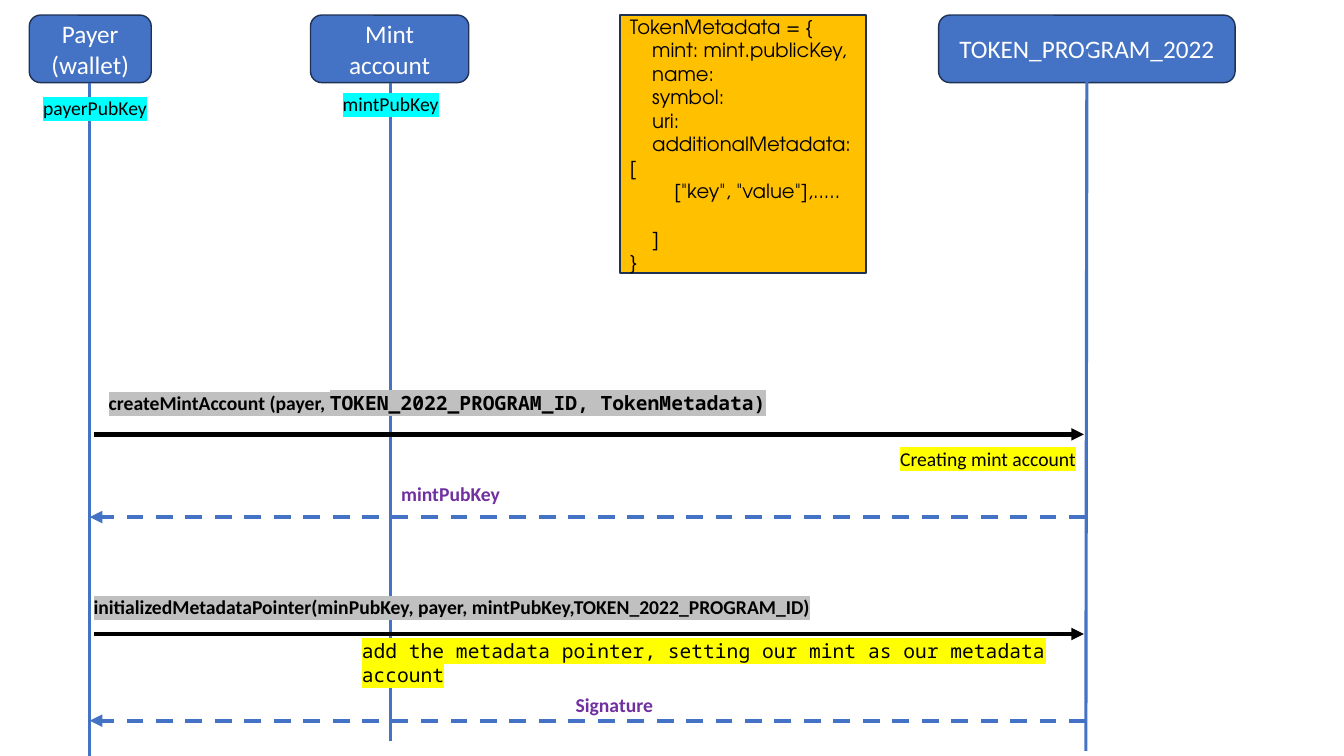
import pptx
import pptx.util
import pptx.dml.color
import pptx.enum.dml
import pptx.enum.shapes
import pptx.enum.text
import pptx.oxml
import lxml.etree

Inches = pptx.util.Inches
Pt = pptx.util.Pt
RGBColor = pptx.dml.color.RGBColor
MSO_SHAPE = pptx.enum.shapes.MSO_SHAPE
PP_ALIGN = pptx.enum.text.PP_ALIGN

BLUE = RGBColor(0x44, 0x72, 0xC4)
NAVY = RGBColor(0x1E, 0x32, 0x56)
AMBER = RGBColor(0xFF, 0xC0, 0x00)
PURPLE = RGBColor(0x70, 0x30, 0xA0)
WHITE = RGBColor(0xFF, 0xFF, 0xFF)
BLACK = RGBColor(0x00, 0x00, 0x00)
CYAN = RGBColor(0x00, 0xFF, 0xFF)
SILVER = RGBColor(0xC0, 0xC0, 0xC0)
YELLOW = RGBColor(0xFF, 0xFF, 0x00)

BODY_FONT = "Calibri"
MONO_FONT = "Noto Sans Mono"
CODE_FONT = "TeX Gyre Adventor"

METADATA_LINES = [
    (0, "TokenMetadata = {"),
    (1, "mint: mint.publicKey,"),
    (1, "name:"),
    (1, "symbol:"),
    (1, "uri:"),
    (1, "additionalMetadata: ["),
    (2, "[\"key\", \"value\"],....."),
    (1, "]"),
    (0, "}"),
]


def append_element(parent, tag, **attributes):
    element = lxml.etree.SubElement(parent, pptx.oxml.ns.qn(tag))
    for name, value in attributes.items():
        element.set(name, value)
    return element


def style_font(font, name, size, color, bold=False):
    font.name = name
    font.size = Pt(size)
    font.color.rgb = color
    font.bold = bold


def highlight_run(run, color):
    properties = run._r.get_or_add_rPr()
    highlight = pptx.oxml.parse_xml(
        f'<a:highlight {pptx.oxml.ns.nsdecls("a")}><a:srgbClr val="{color}"/></a:highlight>'
    )
    properties.insert(0, highlight)


def add_box(slide, box, preset, fill):
    shape = slide.shapes.add_shape(preset, *map(Inches, box))
    shape.shadow.inherit = False
    shape.fill.solid()
    shape.fill.fore_color.rgb = fill
    shape.line.color.rgb = NAVY
    shape.line.width = Pt(1)
    shape.text_frame.vertical_anchor = pptx.enum.text.MSO_ANCHOR.MIDDLE
    return shape


def add_participant(slide, box, name):
    shape = add_box(slide, box, MSO_SHAPE.ROUNDED_RECTANGLE, BLUE)
    shape.text_frame.text = name
    for paragraph in shape.text_frame.paragraphs:
        paragraph.alignment = PP_ALIGN.CENTER
        style_font(paragraph.font, BODY_FONT, 18, WHITE)


def add_metadata_note(slide, box):
    shape = add_box(slide, box, MSO_SHAPE.FLOWCHART_PROCESS, AMBER)
    frame = shape.text_frame
    frame.text = "\n".join(text for level, text in METADATA_LINES)
    for paragraph, (level, text) in zip(frame.paragraphs, METADATA_LINES):
        paragraph.alignment = PP_ALIGN.LEFT
        style_font(paragraph.font, CODE_FONT, 14, BLACK)
        properties = paragraph._p.get_or_add_pPr()
        properties.set("marL", "0")
        properties.set("indent", str(Inches(0.22 * level)))
        if text == "]":
            paragraph.space_before = Pt(17)


def add_line(slide, start, end, color, width):
    connector = slide.shapes.add_connector(
        pptx.enum.shapes.MSO_CONNECTOR.STRAIGHT, *map(Inches, start + end)
    )
    connector.line.color.rgb = color
    connector.line.width = Pt(width)
    append_element(connector._element.spPr, "a:effectLst")
    return connector


def add_message(slide, start, end, reply=False):
    connector = add_line(slide, start, end, BLUE if reply else BLACK, 3)
    if reply:
        connector.line.dash_style = pptx.enum.dml.MSO_LINE.DASH
    append_element(connector.line._get_or_add_ln(), "a:tailEnd", type="triangle")


def add_label(slide, box, parts, color=BLACK, bold=False, highlight=None, wrap=False):
    frame = slide.shapes.add_textbox(*map(Inches, box)).text_frame
    frame.word_wrap = wrap
    frame.auto_size = pptx.enum.text.MSO_AUTO_SIZE.SHAPE_TO_FIT_TEXT
    paragraph = frame.paragraphs[0]
    style_font(paragraph.font, parts[0][1], 14, color, bold)
    for text, font_name in parts:
        run = paragraph.add_run()
        run.text = text
        if font_name != parts[0][1]:
            run.font.name = font_name
        if highlight is not None:
            highlight_run(run, highlight)


def add_participants(slide, top, height):
    for left, width, name in [
        (0.29, 1.21, "Payer\n(wallet)"),
        (3.08, 1.57, "Mint account"),
        (9.31, 2.94, "TOKEN_PROGRAM_2022"),
    ]:
        add_participant(slide, (left, top, width, height), name)
    for start, end in [
        ((0.89, top + height), (0.89, 7.5)),
        ((10.78, top + height / 2), (10.77, 7.45)),
        ((3.87, top + height), (3.87, 7.35)),
    ]:
        add_line(slide, start, end, BLUE, 2.25)
    add_label(slide, (0.33, 0.9, 1.24, 0.34), [("payerPubKey", BODY_FONT)], highlight=CYAN)
    add_label(slide, (3.3, 0.86, 1.16, 0.34), [("mintPubKey", BODY_FONT)], highlight=CYAN)


def add_exchange(slide, left, right, request_y, reply_y):
    add_message(slide, (left + 0.04, request_y), (right - 0.02, request_y))
    add_message(slide, (right, reply_y), (left, reply_y), reply=True)


def add_create_mint(slide, left, right, top):
    add_exchange(slide, left, right, top + 0.48, top + 1.3)
    call = [
        ("createMintAccount (payer, ", BODY_FONT),
        ("TOKEN_2022_PROGRAM_ID, TokenMetadata)", MONO_FONT),
    ]
    add_label(slide, (left + 0.09, top, 6.76, 0.88), call,
              bold=True, highlight=SILVER, wrap=True)
    add_label(slide, (left + 2.99, top + 0.9, 1.19, 0.34), [("mintPubKey", BODY_FONT)],
              color=PURPLE, bold=True)
    add_label(slide, (right - 1.94, top + 0.55, 1.96, 0.34),
              [("Creating mint account", BODY_FONT)], highlight=YELLOW)


def add_initialize_pointer(slide, left, right, top):
    add_exchange(slide, left, right, top + 0.44, top + 1.3)
    call = "initializedMetadataPointer(minPubKey, payer, mintPubKey,TOKEN_2022_PROGRAM_ID)"
    add_label(slide, (left - 0.06, top, 7.37, 0.34), [(call, BODY_FONT)],
              bold=True, highlight=SILVER)
    explanation = "add the metadata pointer, setting our mint as our metadata account"
    add_label(slide, (left + 2.6, top + 0.44, 7.39, 0.34), [(explanation, MONO_FONT)],
              highlight=YELLOW, wrap=True)
    add_label(slide, (left + 4.72, top + 0.98, 0.98, 0.34), [("Signature", BODY_FONT)],
              color=PURPLE, bold=True)


def main():
    presentation = pptx.Presentation()
    presentation.slide_width = Inches(13.33)
    presentation.slide_height = Inches(7.5)
    slide = presentation.slides.add_slide(presentation.slide_layouts[6])
    add_participants(slide, 0.15, 0.67)
    add_metadata_note(slide, (6.15, 0.15, 2.44, 2.56))
    add_create_mint(slide, 0.89, 10.77, 3.83)
    add_initialize_pointer(slide, 0.89, 10.77, 5.85)
    presentation.save("out.pptx")


if __name__ == "__main__":
    main()
